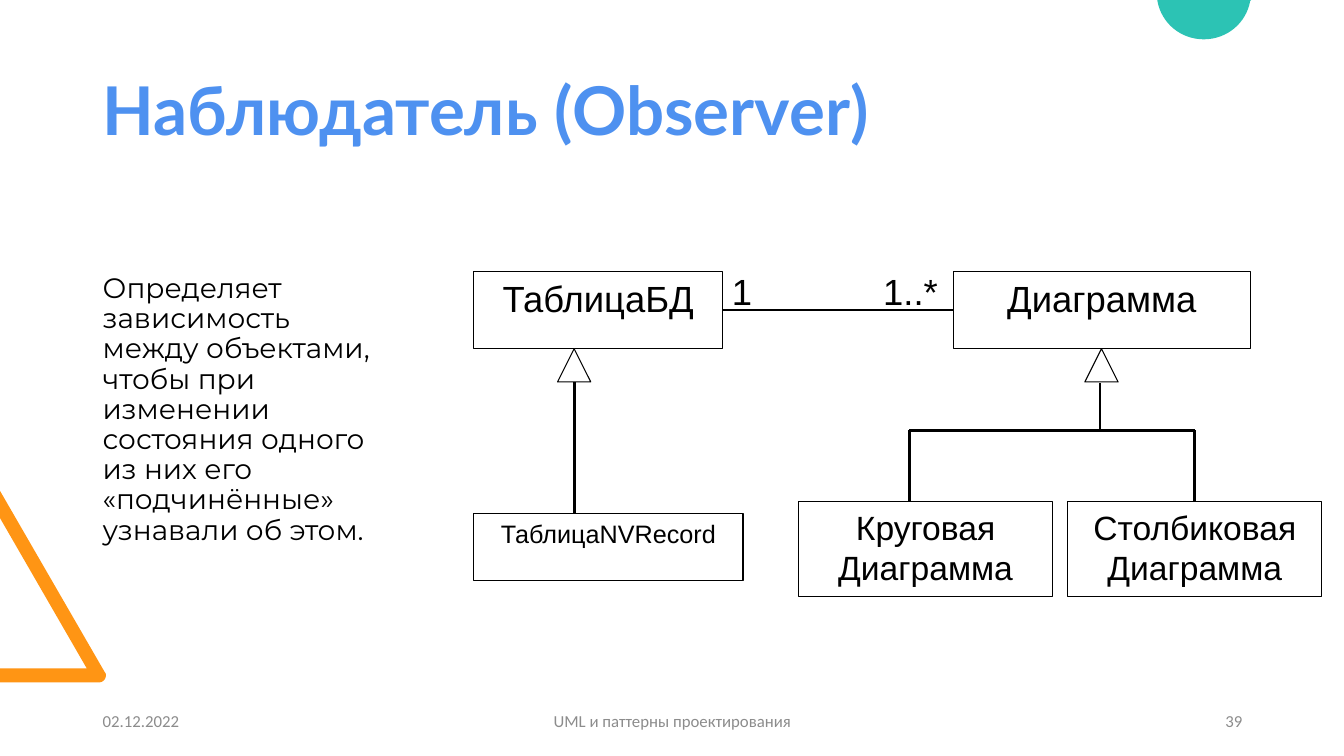
from pptx import Presentation
from pptx.dml.color import RGBColor
from pptx.enum.shapes import MSO_CONNECTOR, MSO_SHAPE
from pptx.enum.text import MSO_ANCHOR, PP_ALIGN
from pptx.oxml.ns import qn
from pptx.util import Inches, Pt
from lxml import etree

BLACK = RGBColor(0x00, 0x00, 0x00)
WHITE = RGBColor(0xFF, 0xFF, 0xFF)
ORANGE = RGBColor(0xFF, 0x95, 0x14)
TEAL = RGBColor(0x2C, 0xC3, 0xB4)
BLUE = RGBColor(0x4E, 0x91, 0xF0)
GRAY = RGBColor(0x8C, 0x8C, 0x8C)

prs = Presentation()
prs.slide_width, prs.slide_height = Inches(13.33), Inches(7.5)
slide = prs.slides.add_slide(prs.slide_layouts[6])
shapes = slide.shapes


def write(holder, text, size, font="Arial", color=BLACK, bold=False,
          align=PP_ALIGN.LEFT, anchor=MSO_ANCHOR.TOP, spacing=None, inset=None):
    frame = holder.text_frame
    frame.word_wrap = True
    frame.vertical_anchor = anchor
    if inset is not None:
        frame.margin_left = frame.margin_right = Inches(inset)
        frame.margin_top = frame.margin_bottom = Inches(inset)
    frame.text = text
    for paragraph in frame.paragraphs:
        paragraph.alignment = align
        paragraph.line_spacing = spacing
        for run in paragraph.runs:
            run.font.size = Pt(size)
            run.font.name = font
            run.font.bold = bold
            run.font.color.rgb = color


def curve(start, pull_start, pull_end, end, steps=16):
    points = []
    for step in range(1, steps + 1):
        t = step / steps
        weights = ((1 - t) ** 3, 3 * t * (1 - t) ** 2, 3 * t ** 2 * (1 - t), t ** 3)
        anchors = (start, pull_start, pull_end, end)
        points.append(tuple(sum(w * p[axis] for w, p in zip(weights, anchors))
                            for axis in (0, 1)))
    return points


# Corner decorations
orange_corner = [(0, 6.77), (0, 6.63), (0.86, 6.63), (0, 5.14), (0, 4.87), (1.04, 6.67),
                 *curve((1.04, 6.67), (1.05, 6.68), (1.05, 6.69), (1.05, 6.7)),
                 *curve((1.05, 6.7), (1.05, 6.74), (1.02, 6.77), (0.98, 6.77))]
teal_cap = [(11.48, 0), (12.41, 0), (12.4, 0.01),
            *curve((12.4, 0.01), (12.36, 0.23), (12.17, 0.39), (11.94, 0.39)),
            *curve((11.94, 0.39), (11.71, 0.39), (11.52, 0.23), (11.48, 0.01))]
for outline, color in ((orange_corner, ORANGE), (teal_cap, TEAL)):
    corners = [(Inches(x), Inches(y)) for x, y in outline]
    builder = shapes.build_freeform(*corners[0])
    builder.add_line_segments(corners[1:], close=True)
    decoration = builder.convert_to_shape()
    decoration.shadow.inherit = False
    decoration.fill.solid()
    decoration.fill.fore_color.rgb = color
    decoration.line.fill.background()

# Title, definition, multiplicities and footer
footer = dict(size=12, font="Calibri", color=GRAY, anchor=MSO_ANCHOR.MIDDLE)
multiplicity = dict(size=26, inset=0)
definition = ("Определяет зависимость между объектами, чтобы при изменении состояния "
              "одного \vиз них его «подчинённые» узнавали об этом.")
for text, left, top, width, height, style in (
    ("Наблюдатель (Observer)", 0.92, 0.4, 11.5, 1.45,
     dict(size=48, font="Lato", color=BLUE, bold=True, anchor=MSO_ANCHOR.MIDDLE, spacing=0.9)),
    (definition, 0.92, 2.67, 2.99, 4.09, dict(size=20, font="Montserrat", spacing=0.9)),
    ("1", 7.26, 2.67, 0.65, 0.65, multiplicity),
    ("1..*", 8.76, 2.67, 0.65, 0.65, multiplicity),
    ("02.12.2022", 0.92, 6.95, 3, 0.4, footer),
    ("UML и паттерны проектирования", 4.42, 6.95, 4.5, 0.4,
     dict(footer, align=PP_ALIGN.CENTER)),
    ("39", 9.42, 6.95, 3, 0.4, dict(footer, align=PP_ALIGN.RIGHT)),
):
    box = shapes.add_textbox(Inches(left), Inches(top), Inches(width), Inches(height))
    write(box, text, **style)

# Classes and inheritance triangles
nodes = []
for kind, text, size, left, top, width, height in (
    (MSO_SHAPE.RECTANGLE, "ТаблицаБД", 26, 4.7, 2.69, 2.47, 0.77),
    (MSO_SHAPE.RECTANGLE, "Диаграмма", 26, 9.46, 2.69, 2.94, 0.77),
    (MSO_SHAPE.RECTANGLE, "ТаблицаNVRecord", 18, 4.7, 5.09, 2.67, 0.67),
    (MSO_SHAPE.RECTANGLE, "Круговая\nДиаграмма", 24, 7.92, 4.98, 2.52, 0.94),
    (MSO_SHAPE.RECTANGLE, "Столбиковая\nДиаграмма", 24, 10.59, 4.98, 2.52, 0.94),
    (MSO_SHAPE.ISOSCELES_TRIANGLE, "", 18, 5.53, 3.46, 0.33, 0.33),
    (MSO_SHAPE.ISOSCELES_TRIANGLE, "", 18, 10.76, 3.46, 0.33, 0.33),
):
    node = shapes.add_shape(kind, Inches(left), Inches(top), Inches(width), Inches(height))
    node.shadow.inherit = False
    node.fill.solid()
    node.fill.fore_color.rgb = WHITE
    node.line.color.rgb = BLACK
    node.line.width = Pt(0.75)
    if text:
        write(node, text, size, align=PP_ALIGN.CENTER)
    nodes.append(node)
table, chart, _, _, bar_chart, _, _ = nodes

# Association and inheritance lines: ends, width, joined (class, side) at each end
for x1, y1, x2, y2, width, begin, end in (
    (7.17, 3.08, 9.46, 3.08, 1.5, (table, 3), (chart, 1)),
    (5.7, 3.79, 5.7, 5.09, 2, None, None),
    (10.91, 3.8, 10.91, 4.27, 2, None, None),
    (10.91, 4.27, 9.02, 4.27, 2, None, None),
    (10.91, 4.27, 11.85, 4.27, 2, None, None),
    (9.02, 4.27, 9.02, 4.98, 2, None, None),
    (11.85, 4.27, 11.85, 4.98, 2, None, (bar_chart, 0)),
):
    relation = shapes.add_connector(MSO_CONNECTOR.STRAIGHT, Inches(x1), Inches(y1),
                                    Inches(x2), Inches(y2))
    relation.line.color.rgb = BLACK
    relation.line.width = Pt(width)
    etree.SubElement(relation._element.spPr, qn("a:effectLst"))
    if begin:
        relation.begin_connect(*begin)
    if end:
        relation.end_connect(*end)

prs.save("out.pptx")
